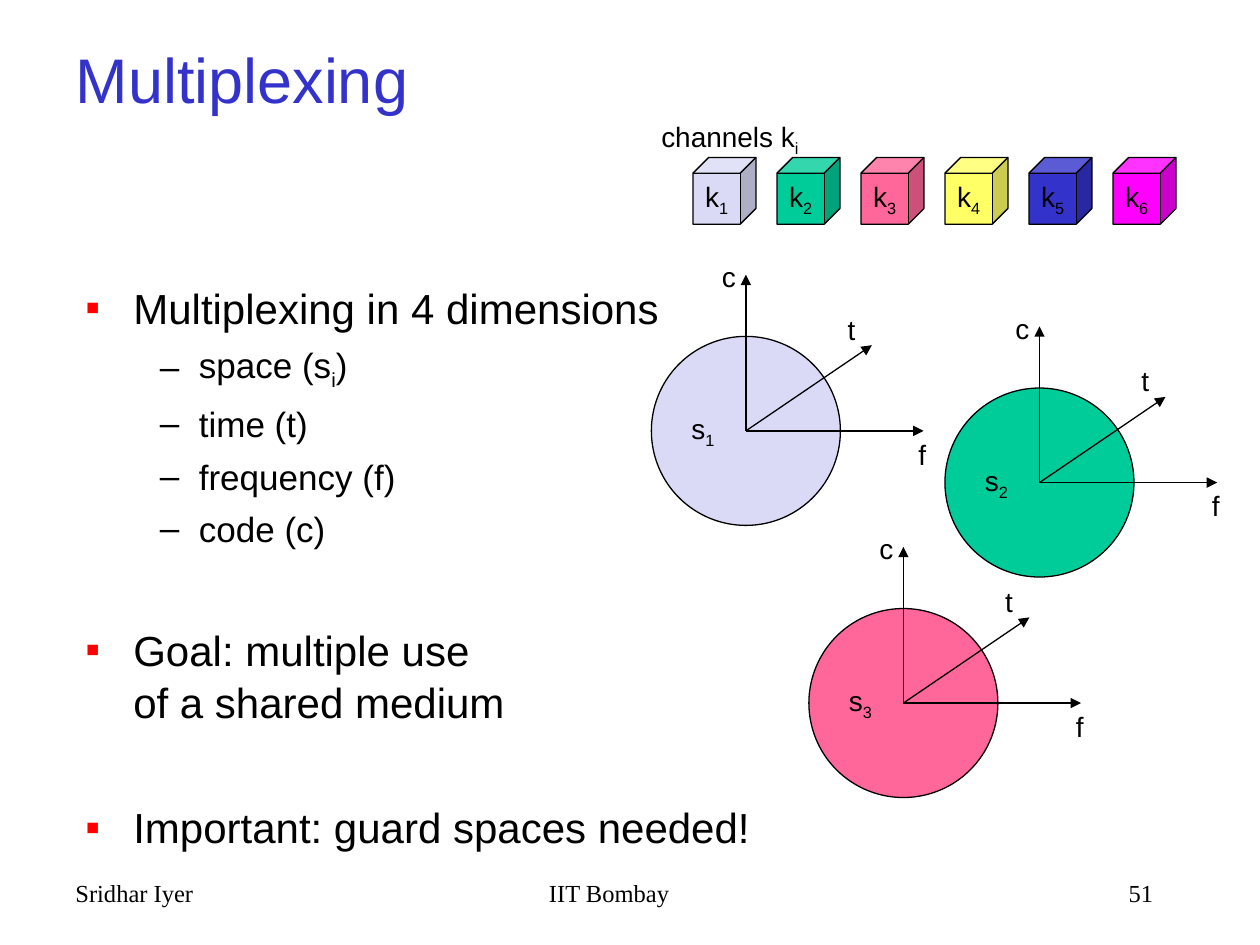
from lxml.etree import SubElement
from pptx import Presentation
from pptx.dml.color import RGBColor
from pptx.enum.shapes import MSO_CONNECTOR, MSO_SHAPE
from pptx.enum.text import MSO_ANCHOR, MSO_AUTO_SIZE, PP_ALIGN
from pptx.oxml.ns import qn
from pptx.util import Inches, Pt

BLACK = RGBColor(0x00, 0x00, 0x00)
RED = RGBColor(0xFF, 0x00, 0x00)
BLUE = RGBColor(0x33, 0x33, 0xCC)
LILAC = RGBColor(0xDA, 0xDA, 0xF6)
GREEN = RGBColor(0x00, 0xCC, 0x99)
PINK = RGBColor(0xFF, 0x66, 0x99)
YELLOW = RGBColor(0xFF, 0xFF, 0x66)
MAGENTA = RGBColor(0xFF, 0x00, 0xFF)

CUBES = [LILAC, GREEN, PINK, YELLOW, BLUE, MAGENTA]
SPACES = [(5.17, 2.67, LILAC), (7.5, 3.08, GREEN), (6.42, 4.83, PINK)]
AXES = [
    ("t", (1, -0.68), (0.71, -0.99), 0.26),
    ("c", (0, -1.24), (-0.29, -1.41), 0.31),
    ("f", (1.41, 0), (1.27, 0), 0.26),
]
POINTS = [
    (0, 0, ["Multiplexing in 4 dimensions"]),
    (1, 5, ["space (s", "i", ")"]),
    (1, 5, ["time (t)"]),
    (1, 5, ["frequency (f)"]),
    (1, 5, ["code (c)"]),
    (0, 41, ["Goal: multiple use\vof a shared medium"]),
    (0, 41, ["Important: guard spaces needed!"]),
]
LEVELS = [("▪", RED, 24, 0.38, 0.38), ("–", BLACK, 20, 0.9, 0.31)]
FOOTS = [
    (0.5, 2.08, "Sridhar Iyer", PP_ALIGN.LEFT),
    (3.25, 3.17, "IIT Bombay", PP_ALIGN.CENTER),
    (7.17, 2.08, "51", PP_ALIGN.RIGHT),
]


def write(para, parts, size, font="Arial", color=BLACK, align=PP_ALIGN.LEFT):
    """Write the parts into a paragraph, every second one as a subscript."""
    para.text = parts[0]
    para.alignment = align
    for part in parts[1:]:
        para.add_run().text = part
    for run in para.runs:
        run.font.size = Pt(size)
        run.font.name = font
        run.font.color.rgb = color
    for run in para.runs[1::2] if len(parts) > 1 else []:
        run._r.get_or_add_rPr().set("baseline", "-25000")


def add_label(slide, left, top, width, height, parts):
    """Add a one-line label that fits its text."""
    box = slide.shapes.add_textbox(
        Inches(left), Inches(top), Inches(width), Inches(height))
    frame = box.text_frame
    frame.word_wrap = False
    frame.auto_size = MSO_AUTO_SIZE.SHAPE_TO_FIT_TEXT
    write(frame.paragraphs[0], parts, 16)


def add_solid(slide, kind, box, color, parts, align):
    """Add a filled, outlined shape with a label in it."""
    shape = slide.shapes.add_shape(kind, *map(Inches, box))
    shape.shadow.inherit = False
    shape.fill.solid()
    shape.fill.fore_color.rgb = color
    shape.line.color.rgb = BLACK
    shape.line.width = Pt(0.75)
    frame = shape.text_frame
    frame.word_wrap = False
    frame.vertical_anchor = MSO_ANCHOR.MIDDLE
    write(frame.paragraphs[0], parts, 16, align=align)


def add_arrow(slide, x, y, dx, dy):
    """Add an arrow from a point along an offset."""
    line = slide.shapes.add_connector(
        MSO_CONNECTOR.STRAIGHT, Inches(x), Inches(y),
        Inches(x + dx), Inches(y + dy))
    line.line.color.rgb = BLACK
    line.line.width = Pt(0.75)
    SubElement(line.line._get_or_add_ln(), qn("a:tailEnd"), type="triangle")
    SubElement(line._element.spPr, qn("a:effectLst"))


def add_space(slide, num, left, top, color):
    """Add a space circle with its time, code and frequency axes."""
    add_solid(slide, MSO_SHAPE.OVAL, (left, top, 1.5, 1.5), color,
              ["s", str(num)], PP_ALIGN.LEFT)
    x, y = left + 0.75, top + 0.75
    for name, tip, spot, width in AXES:
        add_arrow(slide, x, y, *tip)
        add_label(slide, x + spot[0], y + spot[1], width, 0.37, [name])


def add_bullet(para, level):
    """Give a paragraph the bullet and indent of its level."""
    char, color, _, left, hang = LEVELS[level]
    props = para._p.get_or_add_pPr()
    props.set("marL", str(Inches(left)))
    props.set("indent", str(-Inches(hang)))
    tint = SubElement(props, qn("a:buClr"))
    SubElement(tint, qn("a:srgbClr"), val=str(color))
    SubElement(props, qn("a:buFont"), typeface="Arial")
    SubElement(props, qn("a:buChar"), char=char)


def add_points(slide):
    """Add the bulleted list."""
    box = slide.shapes.add_textbox(
        Inches(0.58), Inches(2.17), Inches(8.92), Inches(4.5))
    frame = box.text_frame
    frame.word_wrap = True
    for num, (level, gap, parts) in enumerate(POINTS):
        para = frame.add_paragraph() if num else frame.paragraphs[0]
        para.level = level
        para.line_spacing = 1.05
        para.space_before = Pt(gap)
        add_bullet(para, level)
        write(para, parts, LEVELS[level][2])


def add_title(slide):
    """Place and format the title."""
    title = slide.shapes.title
    title.left, title.top = Inches(0.5), Inches(0)
    title.width, title.height = Inches(8.5), Inches(1.25)
    title.text_frame.vertical_anchor = MSO_ANCHOR.MIDDLE
    write(title.text_frame.paragraphs[0], ["Multiplexing"], 36, color=BLUE)


def add_foot(slide, left, width, text, align):
    """Add one part of the footer."""
    box = slide.shapes.add_textbox(
        Inches(left), Inches(6.92), Inches(width), Inches(0.5))
    box.text_frame.word_wrap = True
    write(box.text_frame.paragraphs[0], [text], 14, "Times New Roman",
          align=align)


def main():
    """Build the slide and save it."""
    deck = Presentation()
    deck.slide_width, deck.slide_height = Inches(10), Inches(7.5)
    slide = deck.slides.add_slide(deck.slide_layouts[5])
    add_title(slide)
    for foot in FOOTS:
        add_foot(slide, *foot)
    add_points(slide)
    for num, space in enumerate(SPACES, 1):
        add_space(slide, num, *space)
    add_label(slide, 5.15, 0.9, 1.29, 0.41, ["channels k", "i"])
    for num, color in enumerate(CUBES):
        add_solid(slide, MSO_SHAPE.CUBE, (5.5 + num * 2 / 3, 1.25, 0.5, 0.53),
                  color, ["k", str(num + 1)], PP_ALIGN.CENTER)
    deck.save("out.pptx")


if __name__ == "__main__":
    main()
